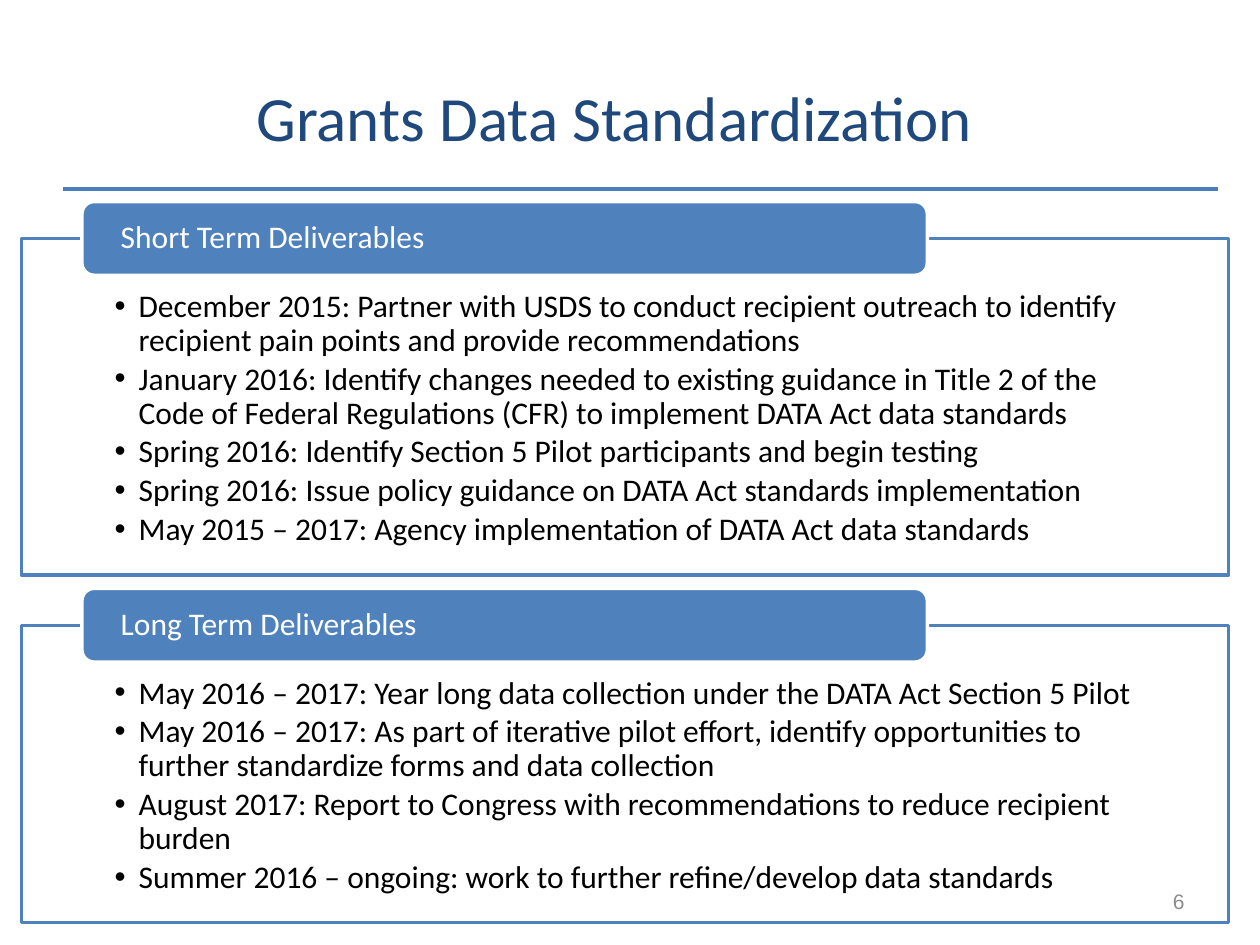
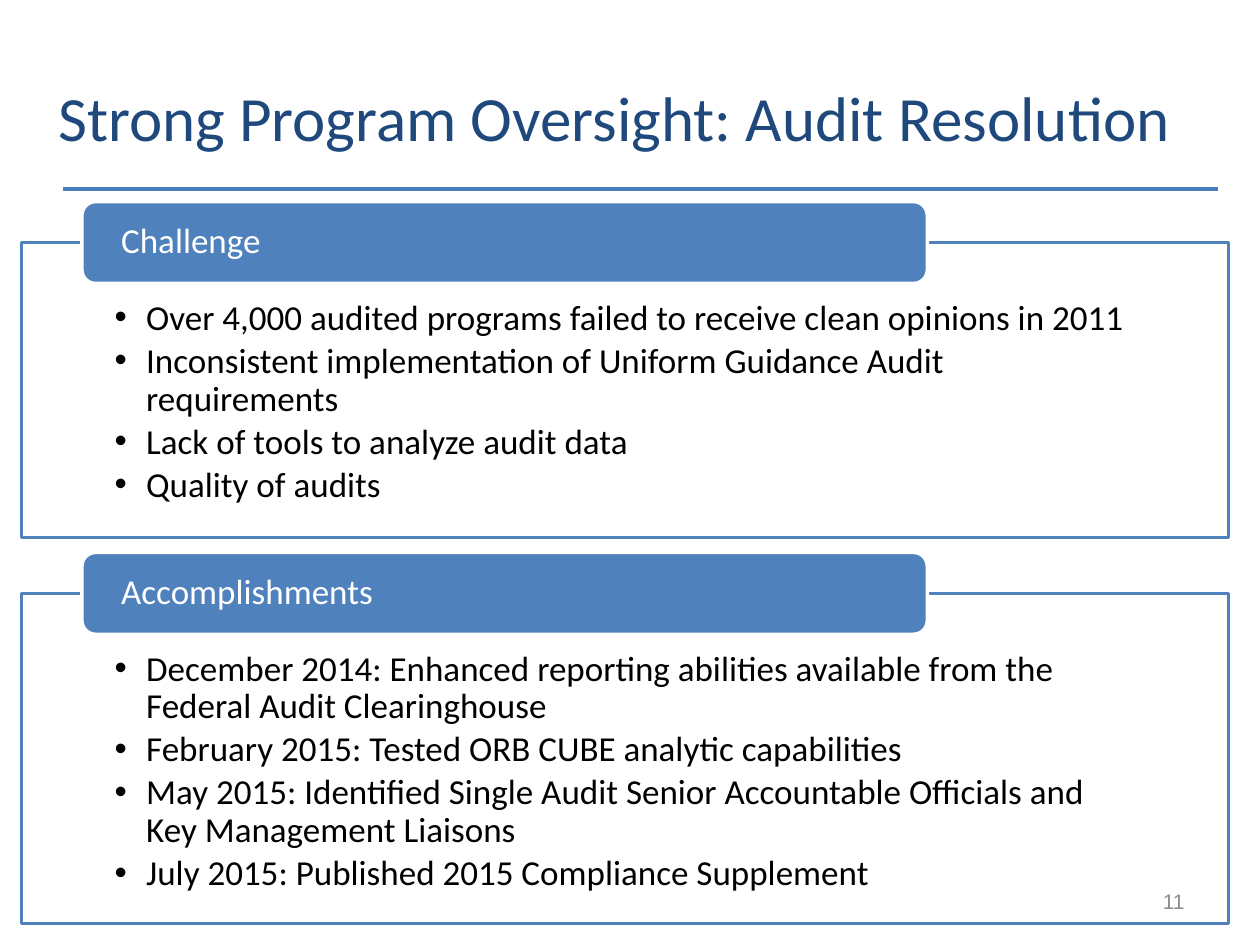
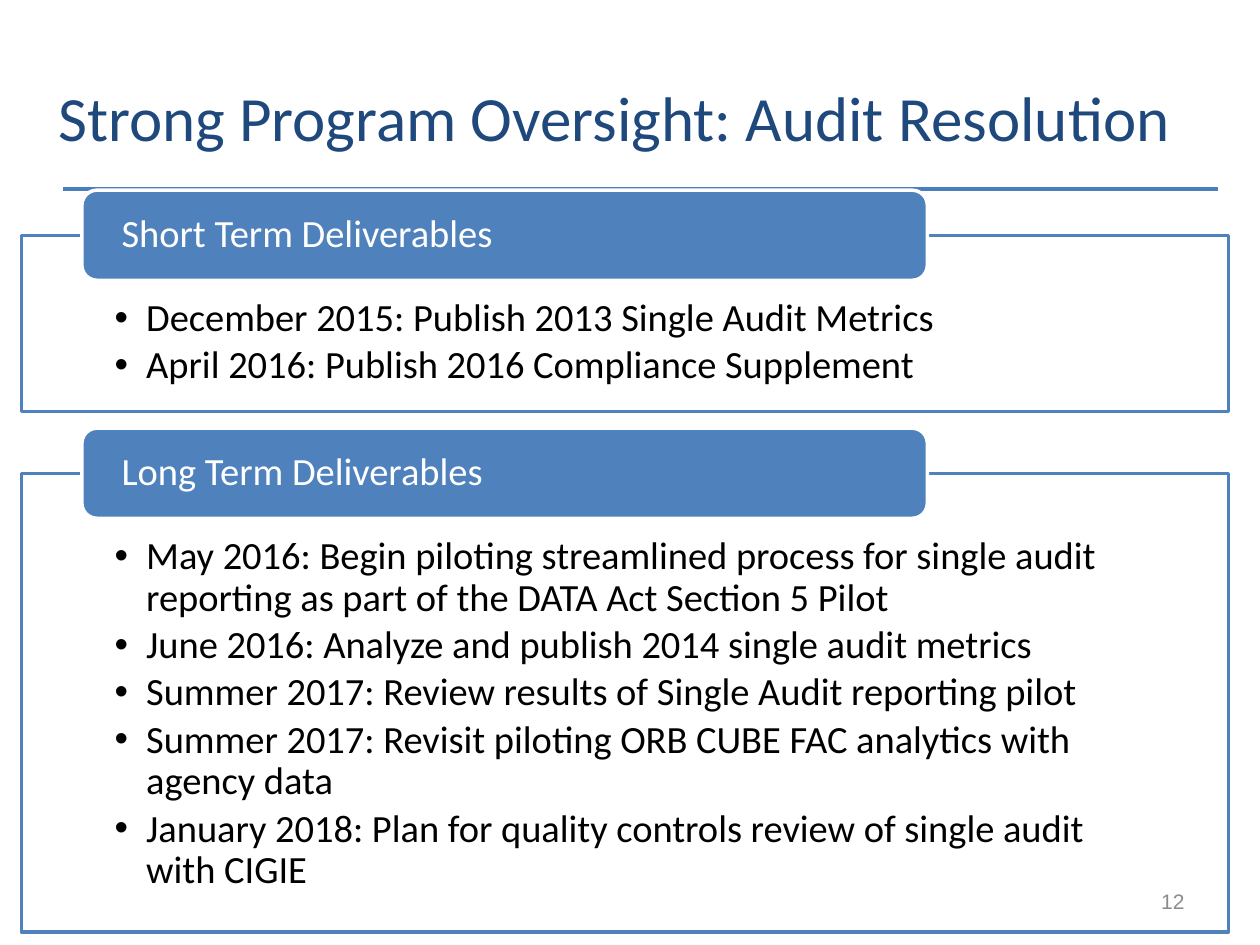
from lxml import etree
from pptx import Presentation
from pptx.dml.color import RGBColor
from pptx.enum.shapes import MSO_CONNECTOR, MSO_SHAPE
from pptx.enum.text import MSO_ANCHOR, MSO_AUTO_SIZE, PP_ALIGN
from pptx.oxml.ns import qn
from pptx.util import Inches, Pt

STRAIGHT = MSO_CONNECTOR.STRAIGHT
ROUNDED = MSO_SHAPE.ROUNDED_RECTANGLE
TOP, MIDDLE = MSO_ANCHOR.TOP, MSO_ANCHOR.MIDDLE
LEFT, CENTER, RIGHT = PP_ALIGN.LEFT, PP_ALIGN.CENTER, PP_ALIGN.RIGHT
NO_FIT = MSO_AUTO_SIZE.NONE

COLORS = {
    "title": "1F497D",
    "rule": "4B7EBC",
    "accent": "4F81BD",
    "white": "FFFFFF",
    "text": "000000",
    "number": "8C8C8C",
}
TWO_CONTENT = 3
FRAME_LEFT, FRAME_WIDTH = Inches(0.17), Inches(9.58)
HEADER_LEFT, HEADER_WIDTH = Inches(0.65), Inches(6.71)
HEADER_RATIO, GAP_RATIO = 2.34, 0.43
INSET_TOP_RATIO, INSET_BOTTOM_RATIO = 1.64, 0.57

SLIDES = [
    {
        "title": "Grants Data Standardization",
        "number": "6", "size": 18, "top": 1.6, "indent": 0.19,
        "panels": [
            ("Short Term Deliverables", 2.67, [
                "December 2015: Partner with USDS to conduct recipient outreach to identify "
                "recipient pain points and provide recommendations",
                "January 2016: Identify changes needed to existing guidance in Title 2 of the "
                "Code of Federal Regulations (CFR) to implement DATA Act data standards",
                "Spring 2016: Identify Section 5 Pilot participants and begin testing",
                "Spring 2016: Issue policy guidance on DATA Act standards implementation",
                "May 2015 – 2017: Agency implementation of DATA Act data standards",
            ]),
            ("Long Term Deliverables", 2.36, [
                "May 2016 – 2017: Year long data collection under the DATA Act Section 5 Pilot",
                "May 2016 – 2017: As part of iterative pilot effort, identify opportunities to "
                "further standardize forms and data collection",
                "August 2017: Report to Congress with recommendations to reduce recipient burden",
                "Summer 2016 – ongoing: work to further refine/develop data standards",
            ]),
        ],
    },
    {
        "title": "Strong Program Oversight: Audit Resolution",
        "number": "11", "size": 20, "top": 1.6, "indent": 0.25,
        "panels": [
            ("Challenge", 2.34, [
                "Over 4,000 audited programs failed to receive clean opinions in 2011",
                "Inconsistent implementation of Uniform Guidance Audit requirements",
                "Lack of tools to analyze audit data",
                "Quality of audits",
            ]),
            ("Accomplishments", 2.62, [
                "December 2014: Enhanced reporting abilities available from the "
                "Federal Audit Clearinghouse",
                "February 2015: Tested ORB CUBE analytic capabilities",
                "May 2015: Identified Single Audit Senior Accountable Officials and "
                "Key Management Liaisons",
                "July 2015: Published 2015 Compliance Supplement",
            ]),
        ],
    },
    {
        "title": "Strong Program Oversight: Audit Resolution",
        "number": "12", "size": 22, "top": 1.51, "indent": 0.25,
        "panels": [
            ("Short Term Deliverables", 1.4, [
                "December 2015: Publish 2013 Single Audit Metrics",
                "April 2016: Publish 2016 Compliance Supplement",
            ]),
            ("Long Term Deliverables", 3.64, [
                "May 2016: Begin piloting streamlined process for single audit "
                "reporting as part of the DATA Act Section 5 Pilot",
                "June 2016: Analyze and publish 2014 single audit metrics",
                "Summer 2017: Review results of Single Audit reporting pilot",
                "Summer 2017: Revisit piloting ORB CUBE FAC analytics with agency data",
                "January 2018: Plan for quality controls review of single audit with CIGIE",
            ]),
        ],
    },
]


def rgb(name):
    return RGBColor.from_string(COLORS[name])


def place(shape, left, top, width, height):
    shape.left, shape.top = left, top
    shape.width, shape.height = width, height


def paint(shape, fill, line):
    shape.fill.solid()
    shape.fill.fore_color.rgb = rgb(fill)
    shape.line.color.rgb = rgb(line)
    shape.line.width = Pt(2)


def write(shape, lines, size, color, font="Calibri", align=LEFT, anchor=MIDDLE,
          insets=(0.1, 0.05, 0.1, 0.05), spacing=1.0, indent=None, after=0):
    frame = shape.text_frame
    frame.word_wrap = True
    frame.auto_size = NO_FIT
    frame.vertical_anchor = anchor
    (frame.margin_left, frame.margin_top,
     frame.margin_right, frame.margin_bottom) = (Inches(inset) for inset in insets)
    for index, line in enumerate(lines):
        para = frame.paragraphs[0] if index == 0 else frame.add_paragraph()
        para.alignment = align
        para.line_spacing = spacing
        para.space_before = Pt(0)
        para.space_after = Pt(after)
        if indent is not None:
            properties = para._p.get_or_add_pPr()
            properties.set("marL", str(Inches(indent)))
            properties.set("indent", str(-Inches(indent)))
        span = para.add_run()
        span.text = line
        span.font.name = font
        span.font.size = Pt(size)
        span.font.color.rgb = rgb(color)


def add_rule(page):
    rule = page.shapes.add_connector(
        STRAIGHT, Inches(0.5), Inches(1.5), Inches(9.67), Inches(1.5))
    rule.line.color.rgb = rgb("rule")
    rule.line.width = Pt(2)
    etree.SubElement(rule._element.spPr, qn("a:effectLst"))


def add_title(page, text):
    title = page.shapes.title
    place(title, Inches(0.25), Inches(0.3), Inches(9.25), Inches(1.25))
    write(title, [text], 36, "title", align=CENTER)


def add_number(page, text):
    box = page.shapes.add_textbox(Inches(7.17), Inches(6.95), Inches(2.33), Inches(0.4))
    write(box, [text], 12, "number", font="Arial", align=RIGHT)


def add_panel(page, body, heading, items, top, height, size, indent):
    em = size / 72
    header_height = em * HEADER_RATIO
    frame_top = top + header_height / 2
    place(body, FRAME_LEFT, Inches(frame_top), FRAME_WIDTH, Inches(height))
    paint(body, "white", "accent")
    tint = body._element.spPr.find(qn("a:solidFill"))[0]
    etree.SubElement(tint, qn("a:alpha"), val="90000")
    write(body, items, size, "text", anchor=TOP, spacing=0.9, indent=indent,
          insets=(0.74, em * INSET_TOP_RATIO, 0.74, em * INSET_BOTTOM_RATIO),
          after=size * 0.15)

    header = page.shapes.add_shape(
        ROUNDED, HEADER_LEFT, Inches(top), HEADER_WIDTH, Inches(header_height))
    header.shadow.inherit = False
    paint(header, "accent", "white")
    write(header, [heading], size, "white", insets=(0.28, 0, 0.28, 0), spacing=0.9)
    return frame_top + height + em * GAP_RATIO


def add_page(deck, content):
    page = deck.slides.add_slide(deck.slide_layouts[TWO_CONTENT])
    add_title(page, content["title"])
    add_rule(page)
    top = content["top"]
    bodies = [page.placeholders[1], page.placeholders[2]]
    for body, (heading, height, items) in zip(bodies, content["panels"]):
        top = add_panel(page, body, heading, items, top, height,
                        content["size"], content["indent"])
    add_number(page, content["number"])


deck = Presentation()
deck.slide_width, deck.slide_height = Inches(10), Inches(7.5)
for content in SLIDES:
    add_page(deck, content)
deck.save("out.pptx")
